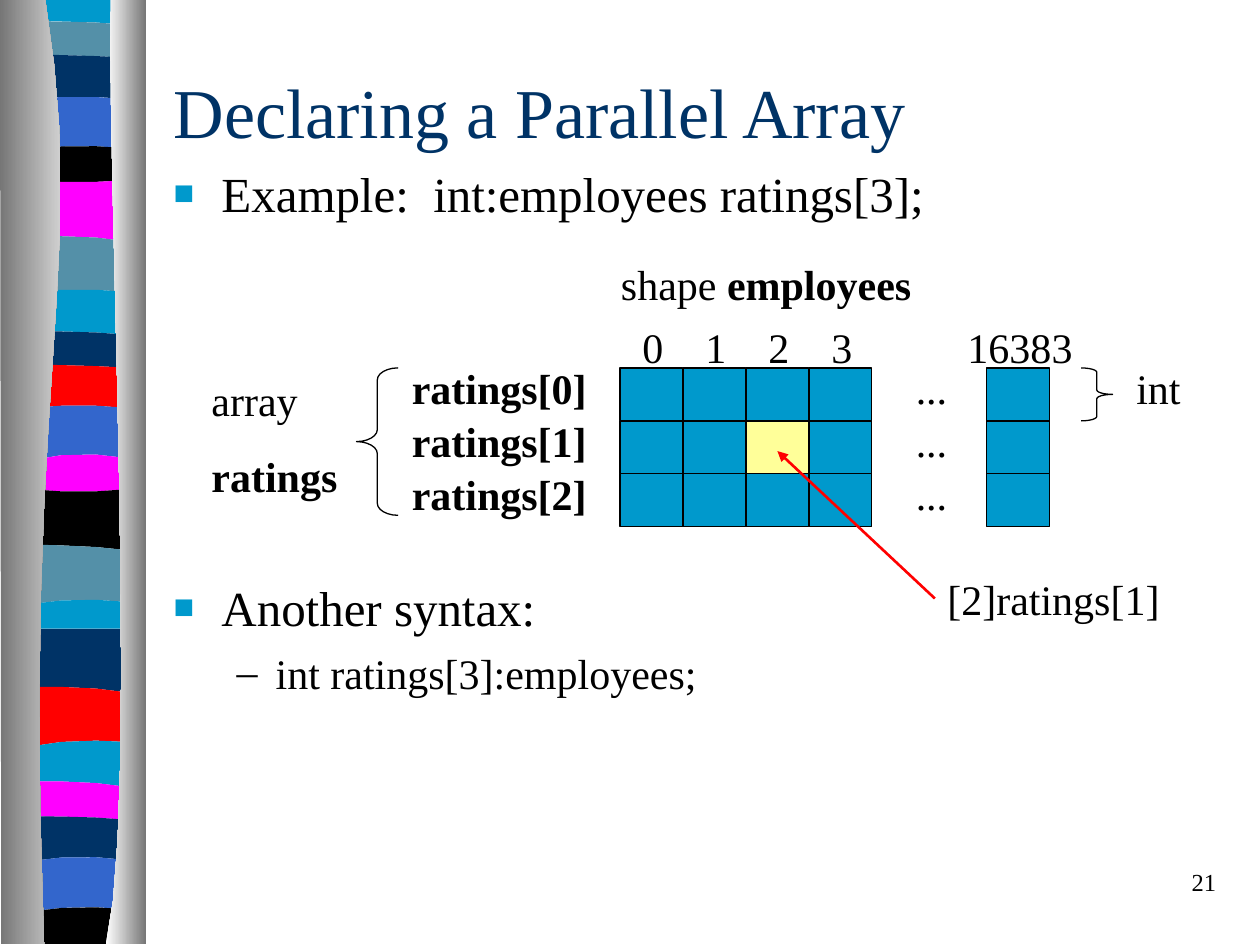
import pptx
import pptx.dml.color
import pptx.enum.shapes
import pptx.enum.text
import pptx.oxml
import pptx.oxml.ns
import pptx.util
from lxml import etree
from pptx.util import Inches

FONT = "Times New Roman"
COLORS = {
    "cyan": "0099CC", "teal": "5490A8", "navy": "003366", "blue": "3366CC",
    "black": "000000", "magenta": "FF00FF", "red": "FF0000", "yellow": "FFFF99",
    "gray": "767676", "silver": "D0D0D0", "white": "FFFFFF",
}
STRIPES = [
    ("cyan", 0, 0, 0), ("teal", 0.17, 0.17, 0.2), ("navy", 0.43, 0.44, 0.46),
    ("blue", 0.79, 0.76, 0.79), ("black", 1.19, 1.15, 1.18), ("magenta", 1.43, 1.45, 1.43),
    ("teal", 1.88, 1.87, 1.92), ("cyan", 2.32, 2.29, 2.32), ("navy", 2.63, 2.63, 2.66),
    ("red", 2.89, 2.9, 2.92), ("blue", 3.24, 3.21, 3.24), ("magenta", 3.66, 3.59, 3.64),
    ("black", 3.88, 3.91, 3.88), ("teal", 4.32, 4.33, 4.37), ("cyan", 4.8, 4.75, 4.78),
    ("navy", 4.99, 4.99, 4.99), ("red", 5.45, 5.45, 5.5), ("cyan", 5.93, 5.87, 5.89),
    ("magenta", 6.2, 6.2, 6.25), ("navy", 6.48, 6.48, 6.51), ("blue", 6.84, 6.79, 6.83),
    ("black", 7.24, 7.19, 7.22), ("black", 7.49, 7.49, 7.49),
]


def rgb(color):
    """Return the named colour."""
    return pptx.dml.color.RGBColor.from_string(COLORS[color])


def bezier(steps, *controls):
    """Return points along a cubic curve."""
    points = []
    for step in range(steps + 1):
        t = step / steps
        weights = ((1 - t) ** 3, 3 * t * (1 - t) ** 2, 3 * t * t * (1 - t), t ** 3)
        points.append(tuple(
            sum(w * p[axis] for w, p in zip(weights, controls)) for axis in (0, 1)))
    return points


def add_outline(slide, left, top, points):
    """Draw a closed outline without a line."""
    corners = [(left + Inches(x), top + Inches(y)) for x, y in points]
    builder = slide.shapes.build_freeform(*corners[0])
    builder.add_line_segments(corners[1:])
    outline = builder.convert_to_shape()
    outline.shadow.inherit = False
    outline.line.fill.background()
    return outline


def fill_across(outline, first, last):
    """Fade an outline from left to right."""
    outline.fill.gradient()
    outline.fill.gradient_angle = 0
    for stop, color in zip(outline.fill.gradient_stops, (first, last)):
        stop.color.rgb = rgb(color)


def stripe_edge(left_y, middle_y, right_y):
    """Return the curved upper edge of a stripe."""
    return bezier(3, (0.2, left_y), (0.5, middle_y), (0.75, middle_y), (1.05, right_y))


def add_sidebar(slide, left, top):
    """Draw the striped ribbon between two shaded columns."""
    for (color, *upper), (_, *lower) in zip(STRIPES, STRIPES[1:]):
        points = stripe_edge(*upper) + stripe_edge(*lower)[::-1]
        stripe = add_outline(slide, left, top, points)
        stripe.fill.solid()
        stripe.fill.fore_color.rgb = rgb(color)
    left_edge = bezier(12, (0.36, 0), (0.71, 2.16), (0.17, 2.96), (0.35, 7.49))
    fill_across(add_outline(slide, left, top, left_edge + [(0.01, 7.49), (0, 0)]),
                "gray", "silver")
    right_edge = bezier(12, (0.88, 0), (0.84, 1.25), (1.11, 6.46), (0.84, 7.49))
    fill_across(add_outline(slide, left, top, right_edge + [(1.16, 7.49), (1.16, 0)]),
                "white", "gray")


def add_run(paragraph, text, size, color="black", bold=False):
    """Append a styled run."""
    run = paragraph.add_run()
    run.text = text
    run.font.name = FONT
    run.font.size = pptx.util.Pt(size)
    run.font.bold = bold
    run.font.color.rgb = rgb(color)


def add_frame(slide, left, top, width, height):
    """Add a wrapping text box and return its text frame."""
    frame = slide.shapes.add_textbox(left, top, width, height).text_frame
    frame.word_wrap = True
    return frame


def add_label(slide, left, top, width, *runs):
    """Add a one-line label from (text, bold) runs."""
    paragraph = add_frame(slide, left, top, width, Inches(0.5)).paragraphs[0]
    for text, bold in runs:
        add_run(paragraph, text, 24, bold=bold)
    return paragraph


def add_title(slide, left, top, width, height):
    """Write the slide title."""
    frame = add_frame(slide, left, top, width, height)
    frame.vertical_anchor = pptx.enum.text.MSO_ANCHOR.MIDDLE
    add_run(frame.paragraphs[0], "Declaring a Parallel Array", 40, "navy")


def set_bullet(paragraph, mark, color, percent, margin, hang):
    """Give a paragraph a hanging bullet."""
    props = paragraph._p.get_or_add_pPr()
    props.set("marL", str(Inches(margin)))
    props.set("indent", str(-Inches(hang)))
    tag = pptx.oxml.ns.qn
    bullet_color = etree.SubElement(props, tag("a:buClr"))
    etree.SubElement(bullet_color, tag("a:srgbClr"), val=COLORS[color])
    etree.SubElement(props, tag("a:buSzPct"), val=str(percent * 1000))
    etree.SubElement(props, tag("a:buFont"), typeface=FONT)
    etree.SubElement(props, tag("a:buChar"), char=mark)


def add_body(slide, left, top, width, height):
    """Write the bullets, leaving room for the diagram."""
    square, dash = ("■", "cyan", 70, 0.38, 0.38), ("–", "black", 100, 0.81, 0.31)
    items = [
        ("Example:  int:employees ratings[3];", 28, 0, 0, square),
        ("Another syntax:", 28, 0, 203, square),
        ("int ratings[3]:employees;", 24, 1, 6, dash),
    ]
    frame = add_frame(slide, left, top, width, height)
    for index, (text, size, level, before, bullet) in enumerate(items):
        paragraph = frame.add_paragraph() if index else frame.paragraphs[0]
        set_bullet(paragraph, *bullet)
        paragraph.level = level
        paragraph.space_before = pptx.util.Pt(before)
        add_run(paragraph, text, size)


def add_shape(slide, kind, left, top, width, height, color=None):
    """Add a preset shape with a thin black line."""
    shape = slide.shapes.add_shape(kind, left, top, width, height)
    shape.shadow.inherit = False
    shape.line.color.rgb = rgb("black")
    shape.line.width = pptx.util.Pt(0.75)
    if color:
        shape.fill.solid()
        shape.fill.fore_color.rgb = rgb(color)
    else:
        shape.fill.background()
    return shape


def add_pointer(slide, start_x, start_y, end_x, end_y):
    """Draw the red arrow to the chosen element."""
    pointer = slide.shapes.add_connector(
        pptx.enum.shapes.MSO_CONNECTOR.STRAIGHT, start_x, start_y, end_x, end_y)
    pointer.line.color.rgb = rgb("red")
    pointer.line.width = pptx.util.Pt(1.5)
    tag = pptx.oxml.ns.qn
    etree.SubElement(pointer.line._get_or_add_ln(), tag("a:tailEnd"), type="triangle")
    etree.SubElement(pointer._element.spPr, tag("a:effectLst"))


def add_array_diagram(slide, left, top):
    """Draw the array rows with their indices, braces and pointer."""
    kinds = pptx.enum.shapes.MSO_SHAPE
    cell_width, cell_height = Inches(0.5), Inches(0.42)
    grid_left, grid_top = left + Inches(3.34), top + Inches(0.92)
    columns = [grid_left + column * cell_width for column in range(4)]
    columns.append(left + Inches(6.25))
    for row in range(3):
        row_top = grid_top + row * cell_height
        for column, cell_left in enumerate(columns):
            color = "yellow" if (row, column) == (1, 2) else "cyan"
            add_shape(slide, kinds.RECTANGLE, cell_left, row_top, cell_width, cell_height, color)
        label_top = row_top - Inches(0.09)
        add_label(slide, left + Inches(1.59), label_top, Inches(1.83), (f"ratings[{row}]", True))
        add_label(slide, left + Inches(5.59), label_top, Inches(0.67), ("...", False))

    add_label(slide, left + Inches(3.25), top, Inches(3.17),
              ("shape ", False), ("employees", True))
    indices = add_label(slide, left + Inches(3.42), top + Inches(0.5), Inches(3.92),
                        ("0\t1\t2\t3\t16383", False))
    tabs = etree.SubElement(indices._p.get_or_add_pPr(), pptx.oxml.ns.qn("a:tabLst"))
    for stop in (0.5, 1, 1.5, 2.58):
        etree.SubElement(tabs, pptx.oxml.ns.qn("a:tab"), pos=str(Inches(stop)), algn="l")

    array_frame = add_frame(slide, left, grid_top, Inches(1.33), Inches(1.11))
    add_run(array_frame.paragraphs[0], "array", 24)
    array_name = array_frame.add_paragraph()
    array_name.space_before = pptx.util.Pt(15)
    add_run(array_name, "ratings", 24, bold=True)
    array_brace = add_shape(slide, kinds.LEFT_BRACE, left + Inches(1.25), grid_top,
                            Inches(0.33), Inches(1.17))
    array_brace.adjustments[0] = 0.29
    int_brace = add_shape(slide, kinds.RIGHT_BRACE, left + Inches(7), grid_top,
                          Inches(0.25), cell_height)
    int_brace.adjustments[0] = 0.14
    add_label(slide, left + Inches(7.34), top + Inches(0.83), Inches(0.58), ("int", False))
    add_label(slide, left + Inches(5.84), top + Inches(2.5), Inches(1.92),
              ("[2]ratings[1]", False))
    add_pointer(slide, left + Inches(5.84), top + Inches(2.75),
                left + Inches(4.59), top + Inches(1.58))


def add_page_number(slide, left, top, width, height):
    """Write the page number."""
    paragraph = add_frame(slide, left, top, width, height).paragraphs[0]
    paragraph.alignment = pptx.enum.text.PP_ALIGN.RIGHT
    add_run(paragraph, "21", 14)


def main():
    """Build and save the slide."""
    deck = pptx.Presentation()
    deck.slide_width, deck.slide_height = Inches(10), Inches(7.5)
    slide = deck.slides.add_slide(deck.slide_layouts[6])
    add_sidebar(slide, 0, 0)
    add_title(slide, Inches(1.28), Inches(0.5), Inches(8.5), Inches(0.75))
    add_body(slide, Inches(1.28), Inches(1.25), Inches(8.5), Inches(5.42))
    add_array_diagram(slide, Inches(1.58), Inches(2))
    add_page_number(slide, Inches(7.67), Inches(6.83), Inches(2.08), Inches(0.5))
    deck.save("out.pptx")


if __name__ == "__main__":
    main()
